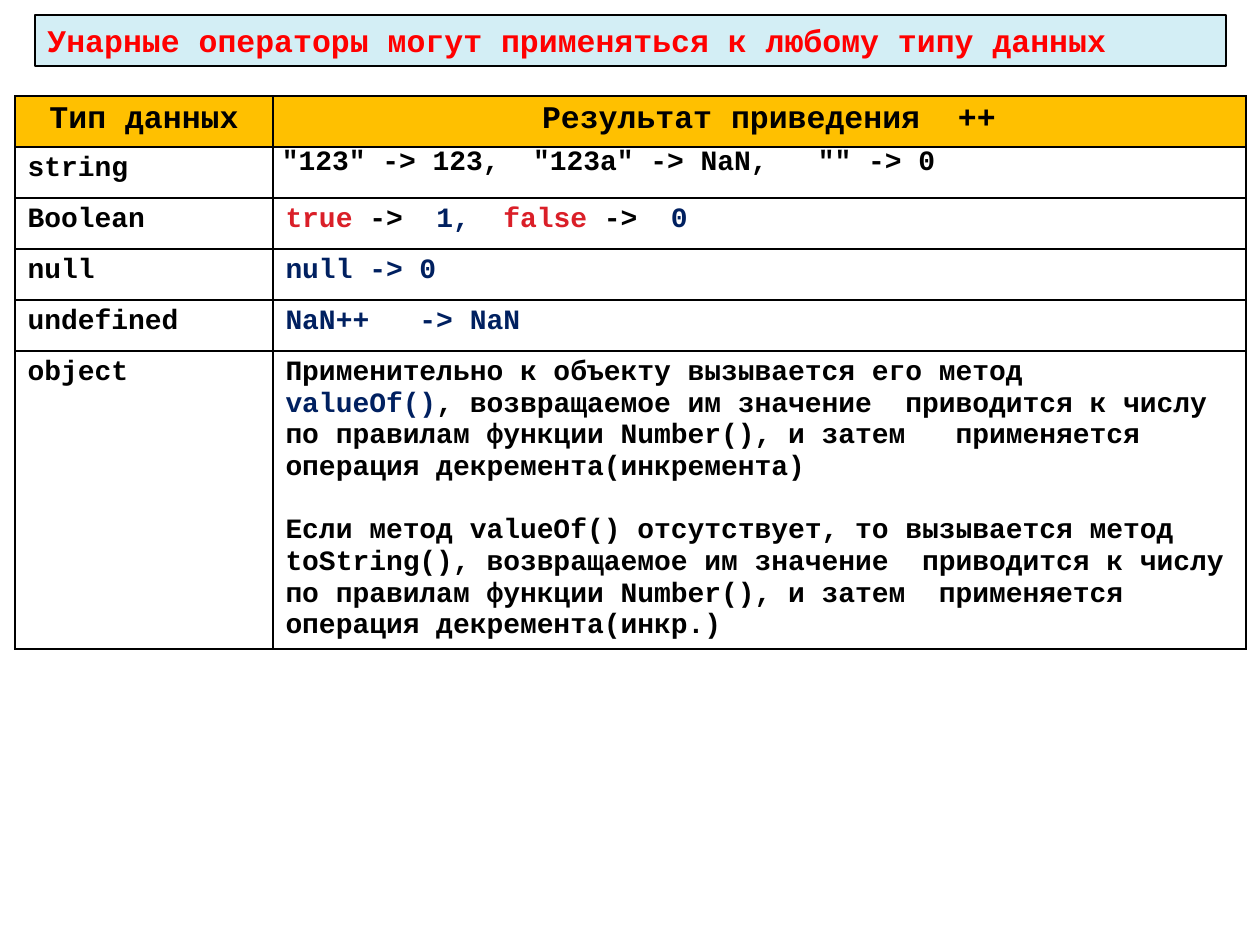
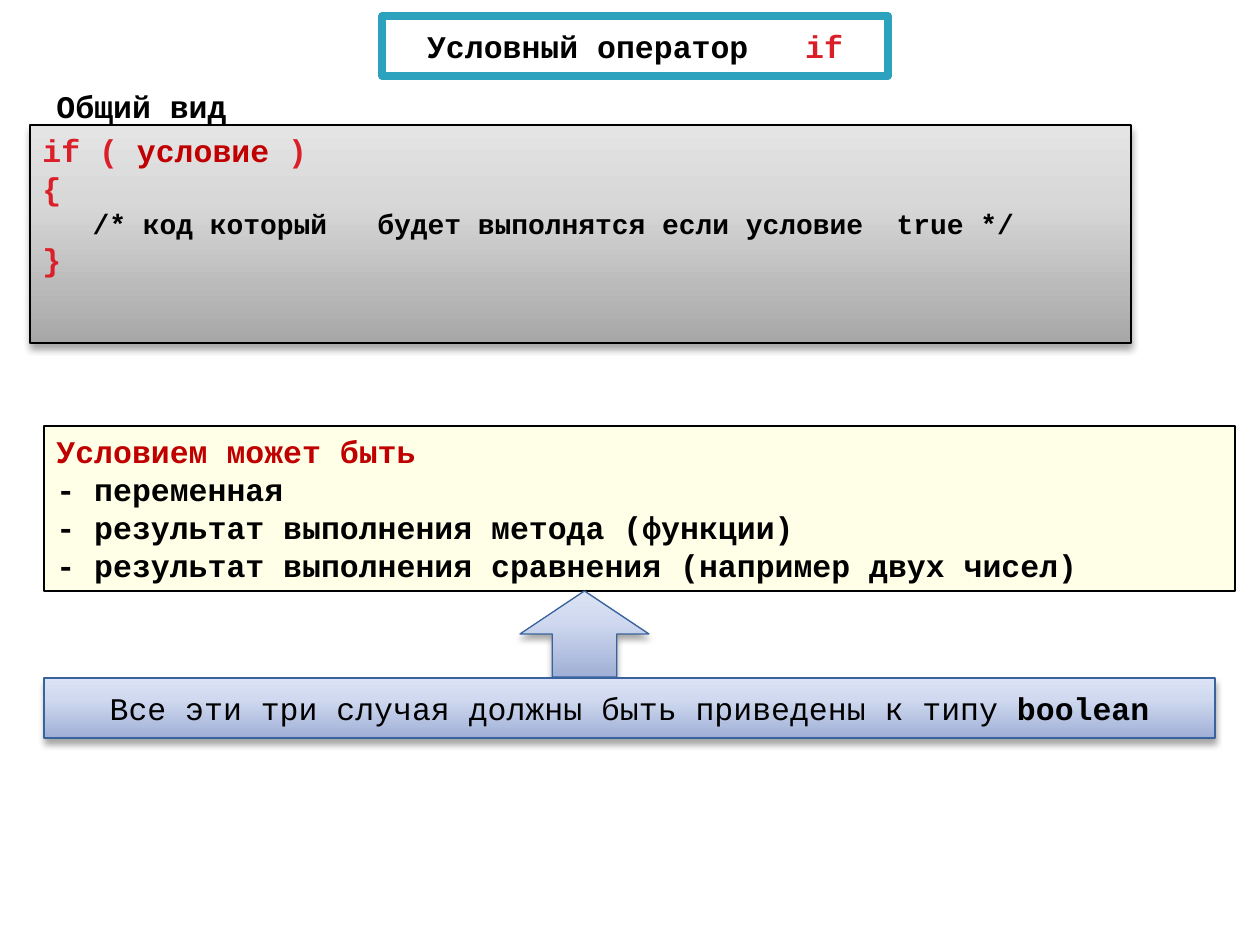
from lxml import etree
from pptx import Presentation
from pptx.dml.color import RGBColor
from pptx.enum.shapes import MSO_SHAPE
from pptx.enum.text import MSO_ANCHOR, MSO_AUTO_SIZE, PP_ALIGN
from pptx.oxml.ns import qn
from pptx.util import Emu, Pt

RECT, UP_ARROW = MSO_SHAPE.RECTANGLE, MSO_SHAPE.UP_ARROW
TOP, MIDDLE = MSO_ANCHOR.TOP, MSO_ANCHOR.MIDDLE
LEFT, CENTER = PP_ALIGN.LEFT, PP_ALIGN.CENTER
GROW = MSO_AUTO_SIZE.SHAPE_TO_FIT_TEXT

PX_PER_INCH = 126
FONT = "Courier New"
LARGE, SMALL = 18, 16
COLORS = {
    "black": "000000", "white": "FFFFFF", "red": "FF0000", "keyword": "DA1F28",
    "dark red": "C00000", "navy": "002060", "header": "FFC000",
    "pale blue": "D3EEF5", "teal": "2DA2BF", "yellow": "FFFF00", "blue line": "39639D",
}
GRAY_GRADIENT = [(0, "A7A7A7"), (65, "D8D8D8"), (100, "E4E4E4")]
BLUE_GRADIENT = [(0, "9FAFD6"), (65, "D0D9EF"), (100, "DCE3F6")]

# A paragraph is a list of runs: (text, colour) or (text, colour, bold).
UNARY_TITLE = [[("Унарные операторы могут применяться к любому типу данных", "red")]]
CONVERSION_HEADER = ("Тип данных", " Результат приведения  ++")
CONVERSIONS = [
    ("string", [[("\"123\" -> 123,  \"123a\" -> NaN,   \"\" -> 0", "black")]]),
    ("Boolean", [[("true ", "keyword"), ("->  ", "black"), ("1,  ", "navy"),
                  ("false ", "keyword"), ("-> ", "black"), (" 0", "navy")]]),
    ("null", [[("null -> 0", "navy")]]),
    ("undefined", [[("NaN++   -> NaN", "navy")]]),
    ("object", [
        [("Применительно к объекту вызывается его метод", "black")],
        [("valueOf()", "navy"),
         (", возвращаемое им значение  приводится к числу по правилам функции Number(), "
          "и затем   применяется операция декремента(инкремента)", "black")],
        [("Если метод valueOf() отсутствует, то вызывается метод  toString(), "
          "возвращаемое им значение  приводится к числу по правилам функции Number(), "
          "и затем  применяется операция декремента(инкр.)", "black")],
    ]),
]
IF_TITLE = [[("Условный оператор   ", "black"), ("if", "keyword")]]
GENERAL_FORM = [[("Общий вид", "black")]]
IF_CODE = [
    [("if ( ", "keyword"), ("условие ", "dark red"), (")", "keyword")],
    [("{", "keyword")],
    [("   /* код который   будет выполнятся если условие  true */", "black")],
    [("}", "keyword")],
]
CONDITIONS = [
    [("Условием может быть", "dark red")],
    [("- переменная", "black")],
    [("- результат выполнения метода (функции)", "black")],
    [("- результат выполнения сравнения (например двух чисел)", "black")],
]
BOOLEAN_NOTE = [[("Все эти три случая должны быть приведены к типу ", "black", False),
                 ("boolean", "black", True)]]


def px(length):
    return Emu(round(length * 914400 / PX_PER_INCH))


def rgb(name):
    return RGBColor.from_string(COLORS[name])


def add_xml(parent, tag, **attributes):
    return etree.SubElement(parent, qn(tag), {k: str(v) for k, v in attributes.items()})


def write(frame, paragraphs, sizes=LARGE, align=LEFT):
    """Fill a text frame; sizes is one size or one per paragraph."""
    if isinstance(sizes, int):
        sizes = [sizes] * len(paragraphs)
    frame.word_wrap = True
    for index, (runs, size) in enumerate(zip(paragraphs, sizes)):
        paragraph = frame.add_paragraph() if index else frame.paragraphs[0]
        paragraph.alignment = align
        font = paragraph.font
        font.name, font.size = FONT, Pt(size)
        same_color = len({run[1] for run in runs}) == 1
        same_bold = len({run[2:] for run in runs}) == 1
        if same_color:
            font.color.rgb = rgb(runs[0][1])
        if same_bold:
            font.bold = True
        for text, color, *bold in runs:
            run = paragraph.add_run()
            run.text = text
            if not same_color:
                run.font.color.rgb = rgb(color)
            if not same_bold:
                run.font.bold = bold[0]


def add_box(shapes, box, fill, line="black", line_width=0.75, kind=RECT,
            anchor=TOP, grow=False):
    shape = shapes.add_shape(kind, *map(px, box))
    shape.shadow.inherit = False
    shape.fill.solid()
    shape.fill.fore_color.rgb = rgb(fill)
    shape.line.color.rgb = rgb(line)
    shape.line.width = Pt(line_width)
    shape.text_frame.vertical_anchor = anchor
    if grow:
        shape.text_frame.auto_size = GROW
    return shape


def add_raised_box(shapes, box, stops, line, **options):
    """Box with an upward gradient and a soft shadow below."""
    shape = add_box(shapes, box, "white", line, **options)
    properties = shape._element.spPr
    gradient = etree.Element(qn("a:gradFill"), rotWithShape="1")
    stop_list = add_xml(gradient, "a:gsLst")
    for position, color in stops:
        stop = add_xml(stop_list, "a:gs", pos=position * 1000)
        add_xml(stop, "a:srgbClr", val=color)
    add_xml(gradient, "a:lin", ang=270 * 60000, scaled=0)
    properties.replace(properties.find(qn("a:solidFill")), gradient)
    shadow = add_xml(properties.find(qn("a:effectLst")), "a:outerShdw", blurRad=Pt(4),
                     dist=Pt(3), dir=90 * 60000, rotWithShape=0)
    shadow_color = add_xml(shadow, "a:srgbClr", val=COLORS["black"])
    add_xml(shadow_color, "a:alpha", val=35000)
    return shape


def add_borders(cell):
    properties = cell._tc.get_or_add_tcPr()
    for index, side in enumerate(("a:lnL", "a:lnR", "a:lnT", "a:lnB")):
        border = etree.Element(qn(side), w=str(Pt(1)))
        add_xml(add_xml(border, "a:solidFill"), "a:srgbClr", val=COLORS["black"])
        properties.insert(index, border)


def add_conversion_table(slide):
    columns = (258, 973)
    heights = [51] * len(CONVERSIONS) + [298]
    table = slide.shapes.add_table(len(heights), len(columns), px(15), px(96),
                                   px(sum(columns)), px(sum(heights))).table
    table.first_row = table.horz_banding = False
    for column, width in zip(table.columns, columns):
        column.width = px(width)
    for row, height in zip(table.rows, heights):
        row.height = px(height)

    header = [[[(label, "black")]] for label in CONVERSION_HEADER]
    rows = [header] + [([[(name, "black")]], result) for name, result in CONVERSIONS]
    for r, contents in enumerate(rows):
        for c, paragraphs in enumerate(contents):
            cell = table.cell(r, c)
            if r == 0:
                cell.fill.solid()
                cell.fill.fore_color.rgb = rgb("header")
                write(cell.text_frame, paragraphs, LARGE, CENTER)
            else:
                cell.fill.background()
                write(cell.text_frame, paragraphs, SMALL)
            add_borders(cell)

    string_result = table.cell(1, 1)
    string_result.margin_left = string_result.margin_right = px(9)
    string_result.margin_top = string_result.margin_bottom = 0
    table.cell(len(CONVERSIONS), 1).text_frame.paragraphs[-1].space_before = Pt(SMALL + 2)


def build_unary_slide(slide):
    add_conversion_table(slide)
    title = add_box(slide.shapes, (35, 15, 1191, 51), "pale blue", grow=True)
    write(title.text_frame, UNARY_TITLE)


def build_if_slide(slide):
    shapes = slide.shapes
    title = add_box(shapes, (382, 16, 506, 60), "white", "teal", 4.33, anchor=MIDDLE)
    write(title.text_frame, IF_TITLE, align=CENTER)

    caption = shapes.add_textbox(*map(px, (44, 81, 1101, 50)))
    caption.text_frame.auto_size = GROW
    write(caption.text_frame, GENERAL_FORM)

    code = add_raised_box(shapes, (30, 125, 1101, 218), GRAY_GRADIENT, "black")
    write(code.text_frame, IF_CODE, (LARGE, LARGE, SMALL, LARGE))

    conditions = add_box(shapes, (44, 426, 1191, 165), "yellow", grow=True)
    fill_color = conditions._element.spPr.find(qn("a:solidFill"))[0]
    add_xml(fill_color, "a:alpha", val=9000)
    write(conditions.text_frame, CONDITIONS)

    note_group = shapes.add_group_shape().shapes
    add_raised_box(note_group, (520, 591, 129, 86), BLUE_GRADIENT, "blue line", kind=UP_ARROW)
    note = add_raised_box(note_group, (44, 678, 1171, 60), BLUE_GRADIENT, "blue line",
                          anchor=MIDDLE)
    write(note.text_frame, BOOLEAN_NOTE, align=CENTER)


def main():
    deck = Presentation()
    deck.slide_width, deck.slide_height = px(1260), px(945)
    blank = deck.slide_layouts[6]
    for build in (build_unary_slide, build_if_slide):
        build(deck.slides.add_slide(blank))
    deck.save("out.pptx")


if __name__ == "__main__":
    main()
